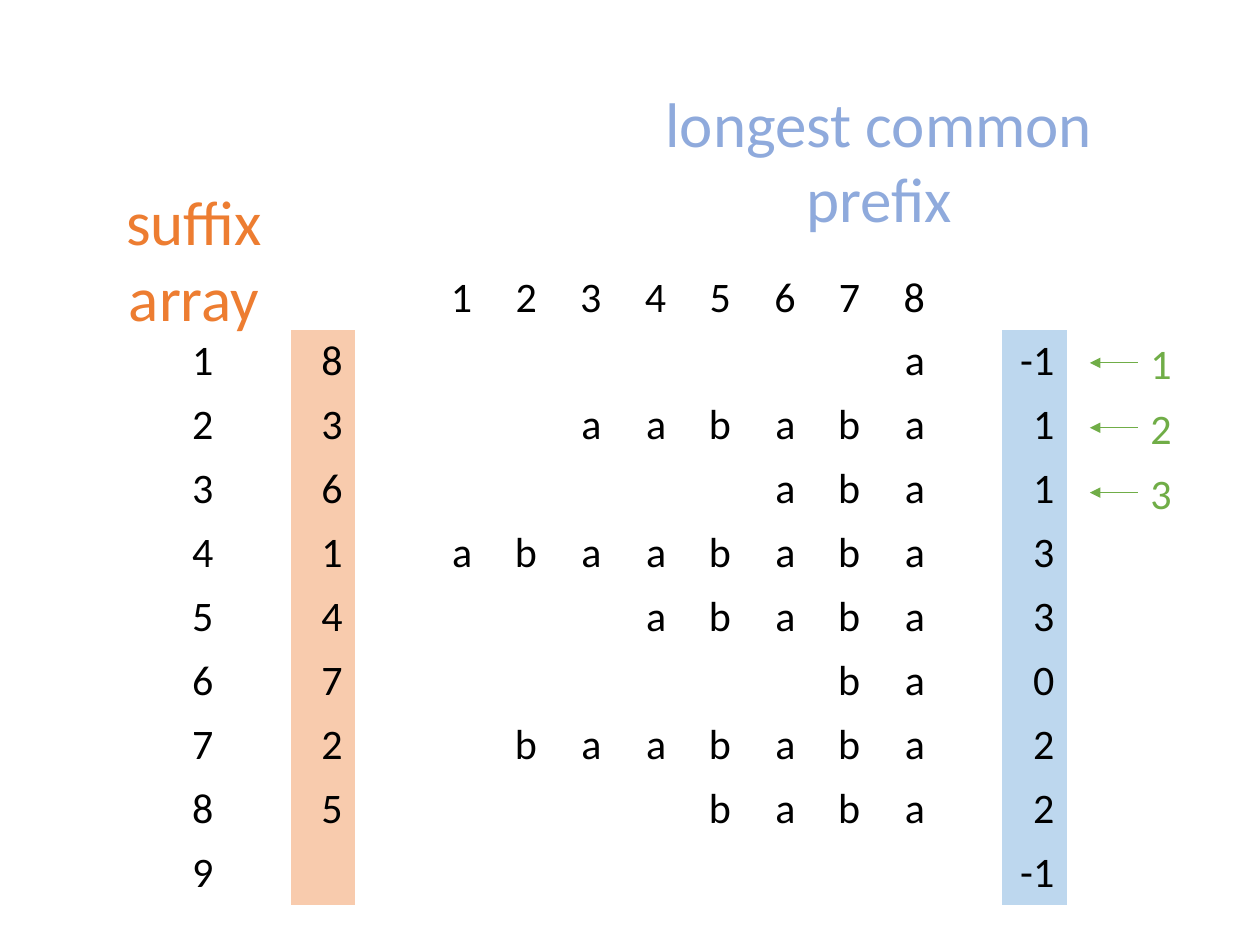
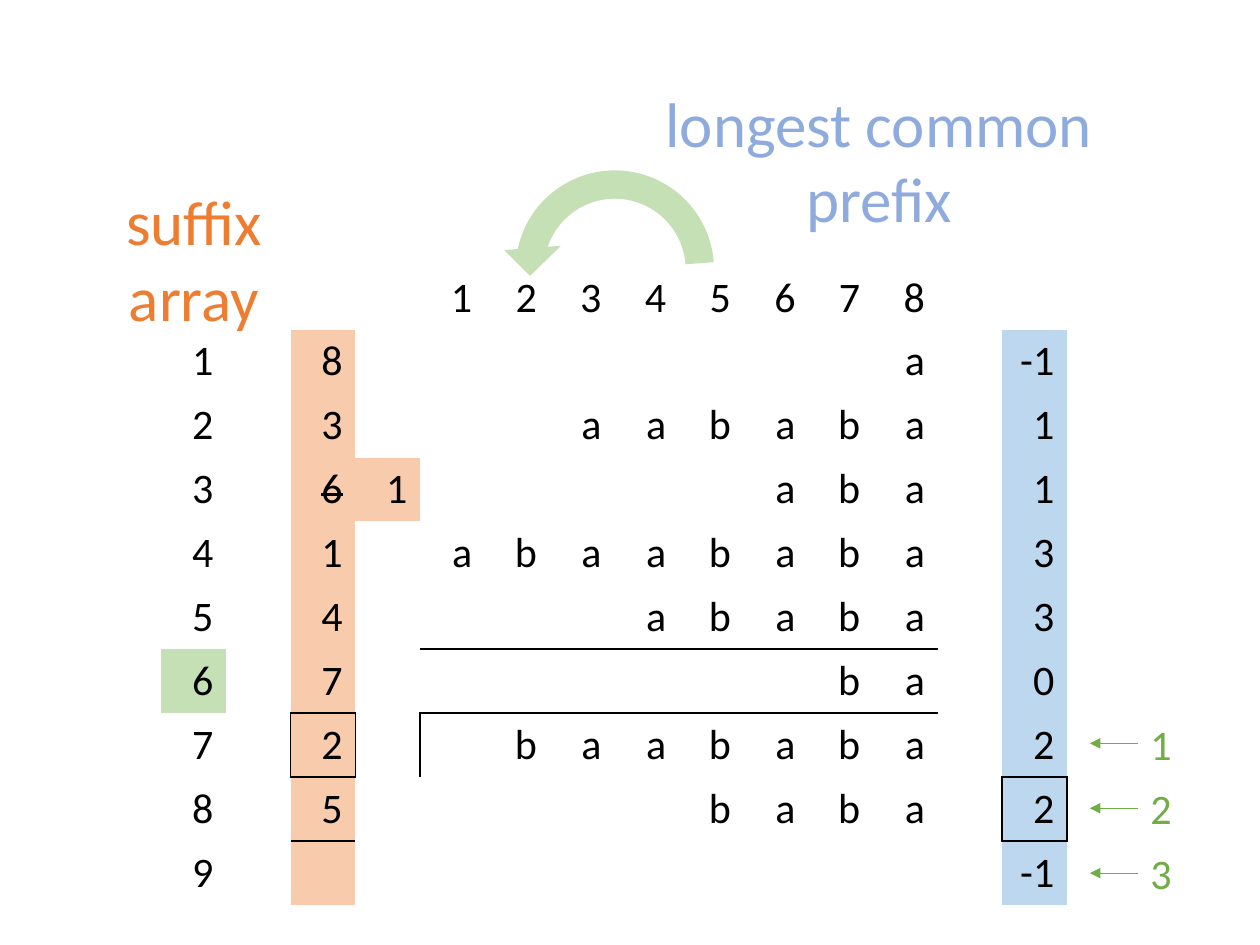
import pptx
import pptx.dml.color
import pptx.enum.dml
import pptx.enum.shapes
import pptx.enum.text
import pptx.oxml
import pptx.oxml.ns
import pptx.util

Inches = pptx.util.Inches
Pt = pptx.util.Pt
Shape = pptx.enum.shapes.MSO_SHAPE
Align = pptx.enum.text.PP_ALIGN

FONT = "Calibri"
BLACK, ORANGE, BLUE, GREEN = "000000", "ED7D31", "8FAADC", "70AD47"
PALE_ORANGE, PALE_BLUE, PALE_GREEN = "F8CBAD", "BDD7EE", "C5E0B4"

WORD = "abaababa"
SUFFIX_ARRAY = [8, 3, 6, 1, 4, 7, 2, 5]
PREFIX_LENGTHS = [-1, 1, 1, 3, 3, 0, 2, 2, -1]
ROWS, COLUMNS = 10, 14
RANK_COLUMN, SUFFIX_COLUMN, SPARE_COLUMN, PREFIX_COLUMN = 0, 2, 3, 13
NO_GRID_STYLE = "{2D5ABB26-0587-4C30-8999-92F81FD0307C}"
ARROW_STEP = 0.515


def colour(value):
    """Turn a hex string into a colour."""
    return pptx.dml.color.RGBColor.from_string(value)


def add_xml(parent, tag, position=None, **attributes):
    """Add a drawing element to a parent and return it."""
    element = pptx.oxml.parse_xml(f"<a:{tag} {pptx.oxml.ns.nsdecls('a')}/>")
    for name, value in attributes.items():
        element.set(name, str(value))
    parent.insert(len(parent) if position is None else position, element)
    return element


def write(frame, text, size, ink, align):
    """Write one styled paragraph and return its run."""
    para = frame.paragraphs[0]
    para.alignment = align
    span = para.add_run()
    span.text = text
    span.font.color.rgb = colour(ink)
    for name, value in {"name": FONT, "size": Pt(size)}.items():
        setattr(span.font, name, value)
    return span


def add_text(page, text, place, size, ink, wrap=False, side_margin=0.1):
    """Add a centred text box."""
    box = page.shapes.add_textbox(*map(Inches, place))
    settings = {
        "word_wrap": wrap,
        "auto_size": pptx.enum.text.MSO_AUTO_SIZE.SHAPE_TO_FIT_TEXT,
        "margin_left": Inches(side_margin),
        "margin_right": Inches(side_margin),
    }
    for name, value in settings.items():
        setattr(box.text_frame, name, value)
    write(box.text_frame, text, size, ink, Align.CENTER)


def fill_cell(cell, value):
    """Fill a cell with a plain colour."""
    cell.fill.solid()
    cell.fill.fore_color.rgb = colour(value)


def write_cell(cell, value):
    """Write a right-aligned, vertically centred cell."""
    cell.vertical_anchor = pptx.enum.text.MSO_ANCHOR.MIDDLE
    return write(cell.text_frame, str(value), 24, BLACK, Align.RIGHT)


def draw_edge(cell, side):
    """Draw a thin black line on the side B or R of a cell."""
    line = add_xml(cell._tc.get_or_add_tcPr(), f"ln{side}", 0, w=Pt(1))
    add_xml(add_xml(line, "solidFill"), "srgbClr", val=BLACK)


def add_suffix_table(page):
    """Add the table of sorted suffixes and return it."""
    width, height = Inches(7.19), Inches(5)
    table = page.shapes.add_table(ROWS, COLUMNS, Inches(1.28), Inches(2.11), width, height).table
    table._tbl.tblPr.find(pptx.oxml.ns.qn("a:tableStyleId")).text = NO_GRID_STYLE
    for name in ("first_row", "horz_banding"):
        setattr(table, name, False)
    for column in table.columns:
        column.width = width // COLUMNS
    for cell in table.iter_cells():
        cell.fill.background()

    for position in range(1, len(WORD) + 1):
        write_cell(table.cell(0, SPARE_COLUMN + position), position)
    for rank, length in enumerate(PREFIX_LENGTHS, 1):
        write_cell(table.cell(rank, RANK_COLUMN), rank)
        write_cell(table.cell(rank, PREFIX_COLUMN), length)
        fill_cell(table.cell(rank, SUFFIX_COLUMN), PALE_ORANGE)
        fill_cell(table.cell(rank, PREFIX_COLUMN), PALE_BLUE)
    for rank, start in enumerate(SUFFIX_ARRAY, 1):
        write_cell(table.cell(rank, SUFFIX_COLUMN), start)
        for position, letter in enumerate(WORD[start - 1:], start):
            write_cell(table.cell(rank, SPARE_COLUMN + position), letter)
    return table


def add_step_arrows(page, first):
    """Add three numbered arrows that point at the prefix column."""
    for step in range(3):
        y = first + step * ARROW_STEP
        arrow = page.shapes.add_connector(
            pptx.enum.shapes.MSO_CONNECTOR.STRAIGHT,
            Inches(9.03), Inches(y), Inches(8.65), Inches(y))
        arrow.line.color.rgb = colour(GREEN)
        arrow.line.width = Pt(0.5)
        add_xml(arrow.line._get_or_add_ln(), "tailEnd", type="triangle")
        add_xml(arrow._element.spPr, "effectLst")
        add_text(page, str(step + 1), (9.03, y - 0.25, 0.37, 0.5), 24, GREEN)


def add_jump_arrow(page):
    """Add the curved arrow from position 5 back to position 2."""
    arrow = page.shapes.add_shape(
        Shape.CIRCULAR_ARROW, Inches(3.98), Inches(1.24), Inches(1.8), Inches(1.8))
    arrow.shadow.inherit = False
    arrow.rotation = 355.7
    arrow._element.spPr.xfrm.set("flipH", "1")
    arrow.fill.solid()
    arrow.fill.fore_color.rgb = colour(PALE_GREEN)
    arrow.line.fill.background()


def mark_step(table):
    """Mark the replaced suffix, the current rank and the compared cells."""
    old = table.cell(3, SUFFIX_COLUMN).text_frame.paragraphs[0].runs[0]
    old._r.get_or_add_rPr().set("strike", "sngStrike")
    write_cell(table.cell(3, SPARE_COLUMN), 1)
    fill_cell(table.cell(3, SPARE_COLUMN), PALE_ORANGE)
    fill_cell(table.cell(6, RANK_COLUMN), PALE_GREEN)

    below = [(row, column) for row in (5, 6) for column in range(4, 12)]
    below += [(row, SUFFIX_COLUMN) for row in (6, 7, 8)]
    below += [(row, PREFIX_COLUMN) for row in (7, 8)]
    right = [(7, 1), (7, 2), (7, 3), (8, 12), (8, 13)]
    for side, places in (("B", below), ("R", right)):
        for row, column in places:
            draw_edge(table.cell(row, column), side)


def add_page(deck, first_arrow):
    """Add a slide with the shared table, headings and arrows."""
    page = deck.slides.add_slide(deck.slide_layouts[6])
    table = add_suffix_table(page)
    add_text(page, "suffix array", (0.33, 1.4, 2.42, 0.71), 36, ORANGE, True, 0.3)
    add_text(page, "longest common prefix", (4.55, 0.62, 4.85, 0.71), 36, BLUE, True, 0.3)
    add_step_arrows(page, first_arrow)
    return page, table


def main():
    """Build both slides and save the deck."""
    deck = pptx.Presentation()
    deck.slide_width, deck.slide_height = Inches(10), Inches(7.5)
    add_page(deck, 2.88)
    page, table = add_page(deck, 5.9)
    mark_step(table)
    add_jump_arrow(page)
    deck.save("out.pptx")


if __name__ == "__main__":
    main()
